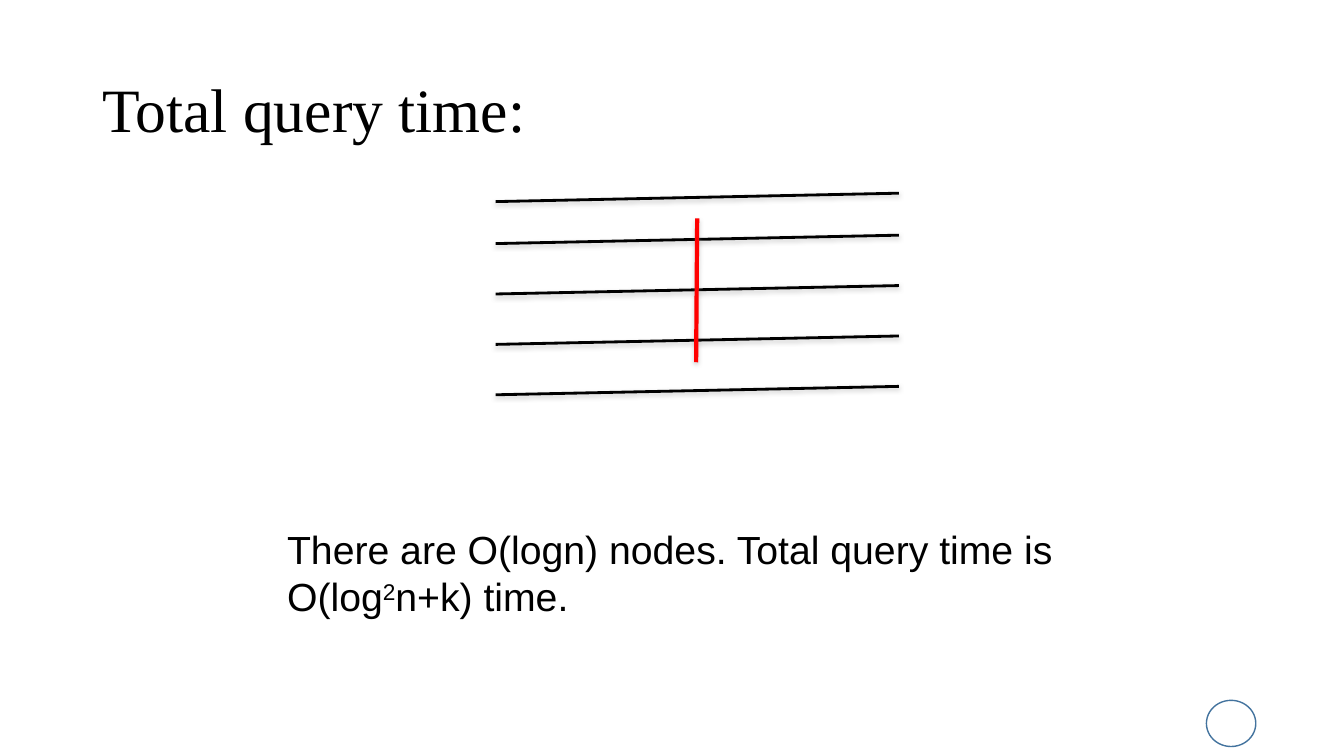
from lxml import etree
from pptx import Presentation
from pptx.dml.color import RGBColor
from pptx.enum.shapes import MSO_CONNECTOR, MSO_SHAPE
from pptx.enum.text import MSO_ANCHOR, MSO_AUTO_SIZE
from pptx.oxml import parse_xml
from pptx.oxml.ns import nsdecls
from pptx.util import Emu, Pt

PX = 9525
BLACK = RGBColor(0x00, 0x00, 0x00)
RED = RGBColor(0xFF, 0x00, 0x00)
BLUE = RGBColor(0x43, 0x73, 0x9E)

SHADOW = (
    f'<a:effectLst {nsdecls("a")}>'
    '<a:outerShdw blurRad="40000" dist="20000" dir="5400000" rotWithShape="0">'
    '<a:srgbClr val="808080"><a:alpha val="38000"/></a:srgbClr>'
    '</a:outerShdw></a:effectLst>'
)


def px(*lengths):
    return [Emu(n * PX) for n in lengths]


def add_run(p, text, size, font, baseline=None):
    r = p.add_run()
    r.text = text
    r.font.size = Pt(size)
    r.font.name = font
    r.font.color.rgb = BLACK
    if baseline:
        r.font._element.set("baseline", str(baseline))


def add_title(slide, x, y, w, h):
    tf = slide.shapes.add_textbox(*px(x, y, w, h)).text_frame
    tf.word_wrap = True
    tf.vertical_anchor = MSO_ANCHOR.MIDDLE
    p = tf.paragraphs[0]
    p.line_spacing = 0.9
    add_run(p, "Total query time:", 44, "Times New Roman")


def add_line(shapes, ends, color, width):
    line = shapes.add_connector(MSO_CONNECTOR.STRAIGHT, *px(*ends))
    line.line.color.rgb = color
    line.line.width = Pt(width)
    line._element.spPr.append(parse_xml(SHADOW))


def add_segments(slide, x, y, w, h):
    """Draw sloping segments crossed by the vertical query segment."""
    shapes = slide.shapes.add_group_shape().shapes
    rise, gap = 8, 48
    bottom = y + h
    lefts = [bottom - gap * i for i in range(4)] + [y + rise]
    for left in lefts:
        add_line(shapes, (x, left, x + w, left - rise), BLACK, 2)
    mid = x + w // 2
    add_line(shapes, (mid, y + 24, mid - 1, y + 161), RED, 3)


def add_conclusion(slide, x, y, w, h):
    tf = slide.shapes.add_textbox(*px(x, y, w, h)).text_frame
    tf.word_wrap = False
    tf.auto_size = MSO_AUTO_SIZE.SHAPE_TO_FIT_TEXT
    add_run(tf.paragraphs[0], "There are O(logn) nodes. Total query time is", 28, "Arial")
    p = tf.add_paragraph()
    for text, baseline in (("O(log", None), ("2", 30000), ("n+k) time.", None)):
        add_run(p, text, 28, "Arial", baseline)


def add_number_ring(slide, x, y, w, h):
    sp = slide.shapes.add_shape(MSO_SHAPE.OVAL, *px(x, y, w, h))
    sp.shadow.inherit = False
    sp.fill.background()
    sp.line.color.rgb = BLUE
    sp.line.width = Pt(1)


def main():
    prs = Presentation()
    prs.slide_width, prs.slide_height = px(1280, 720)
    slide = prs.slides.add_slide(prs.slide_layouts[6])
    add_number_ring(slide, 1149, 667, 47, 44)
    add_title(slide, 88, 38, 1104, 139)
    add_segments(slide, 472, 184, 384, 192)
    add_conclusion(slide, 264, 496, 756, 100)
    prs.save("out.pptx")


if __name__ == "__main__":
    main()
